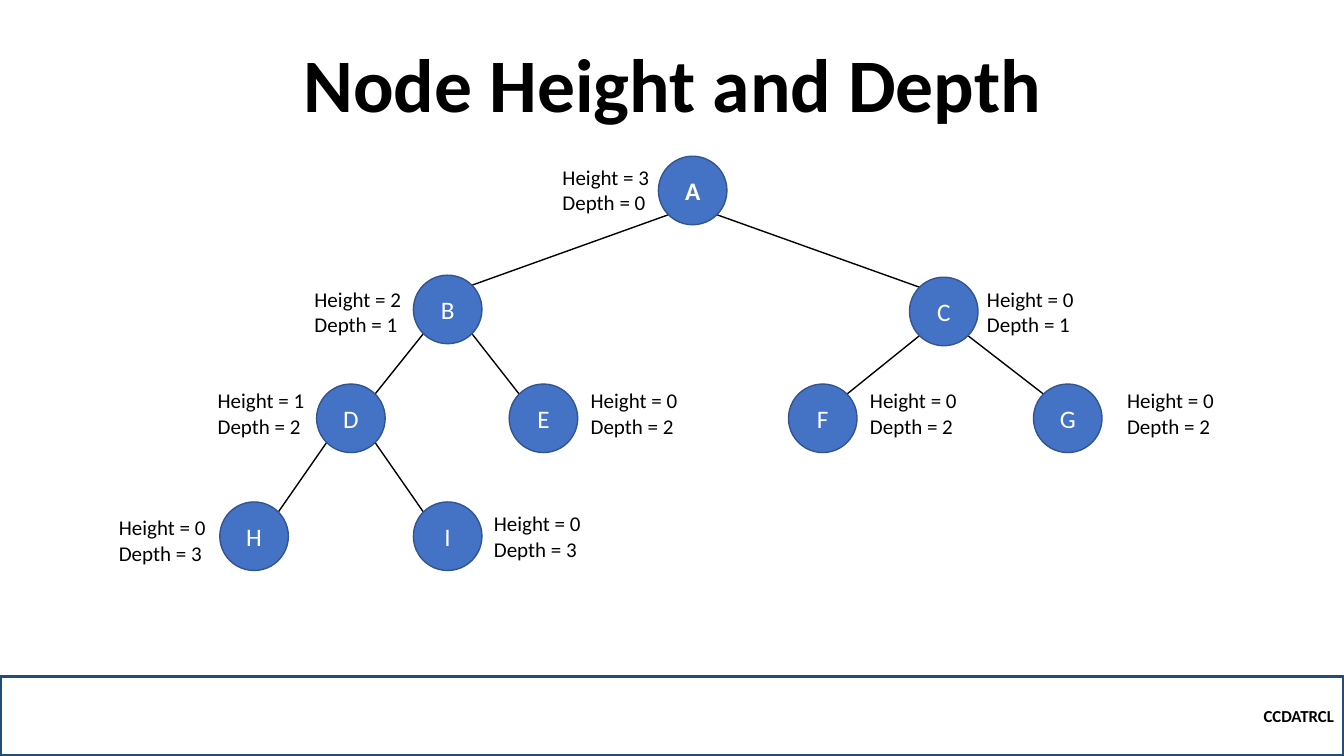
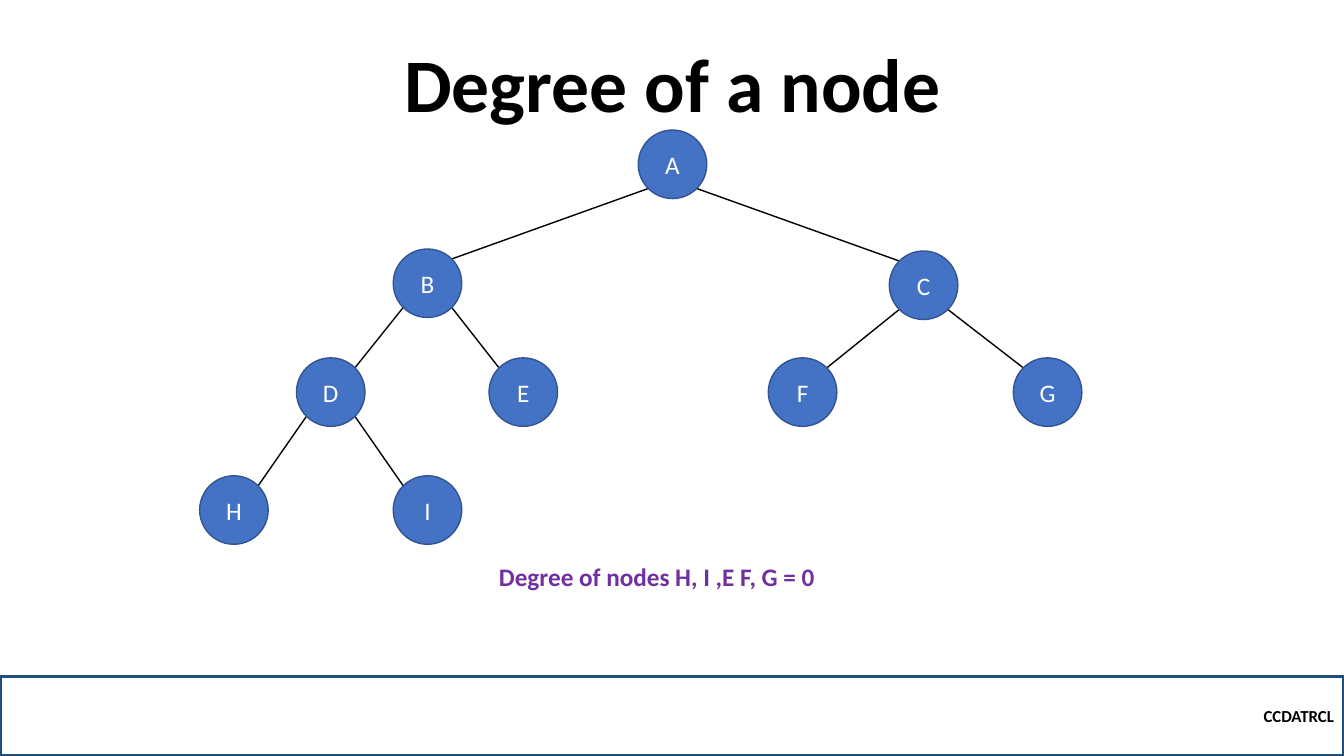
from math import sqrt

from lxml.etree import SubElement
from pptx import Presentation
from pptx.dml.color import RGBColor
from pptx.enum.shapes import MSO_CONNECTOR as CONNECTOR, MSO_SHAPE as SHAPE
from pptx.enum.text import MSO_ANCHOR as ANCHOR, PP_ALIGN as ALIGN
from pptx.oxml.ns import qn
from pptx.util import Inches, Pt

COLORS = {
    "ink": "000000",
    "white": "FFFFFF",
    "node": "4472C4",
    "node_edge": "325491",
    "footer_edge": "1F4E79",
    "note": "7030A0",
}
FONT = "Calibri"
SLIDE_WIDTH, SLIDE_HEIGHT = 13.33, 7.5
TITLE_BOX = (1.67, 0.54, 10, 0.79)
FOOTER_HEIGHT = 0.79
NODE_SIZE = 0.68
NODE_INSET = NODE_SIZE * (1 - 1 / sqrt(2)) / 2
LABEL_SIZE = (1.15, 0.61)

NODES = {
    "A": (4.35, 0),
    "B": (1.92, 1.18),
    "C": (6.84, 1.2),
    "D": (0.96, 2.26),
    "E": (2.87, 2.26),
    "F": (5.64, 2.26),
    "G": (8.07, 2.26),
    "H": (0, 3.43),
    "I": (1.92, 3.43),
}
CHILDREN = {"A": "BC", "B": "DE", "C": "FG", "D": "HI"}

LABELS = {
    "A": (3, 0, -1.05, 0.03),
    "B": (2, 1, -1.08, 0.06),
    "C": (0, 1, 0.67, 0.04),
    "D": (1, 2, -1.08, -0.01),
    "E": (0, 2, 0.71, -0.01),
    "F": (0, 2, 0.71, -0.01),
    "G": (0, 2, 0.83, -0.01),
    "H": (0, 3, -1.1, 0.08),
    "I": (0, 3, 0.7, 0.04),
}


def color(name):
    return RGBColor.from_string(COLORS[name])


def write(shape, text, size=18, ink="ink", bold=False, align=ALIGN.LEFT,
          anchor=ANCHOR.TOP, spacing=None, margin=None):
    frame = shape.text_frame
    frame.word_wrap = True
    frame.vertical_anchor = anchor
    if margin is not None:
        frame.margin_left = frame.margin_right = Inches(margin)
        frame.margin_top = frame.margin_bottom = Inches(margin)
    for index, line in enumerate(text.split("\n")):
        para = frame.add_paragraph() if index else frame.paragraphs[0]
        para.alignment = align
        para.line_spacing = spacing
        span = para.add_run()
        span.text = line
        span.font.name = FONT
        span.font.size = Pt(size)
        span.font.bold = bold
        span.font.color.rgb = color(ink)


def add_text(page, box, text, **style):
    shape = page.shapes.add_textbox(*map(Inches, box))
    write(shape, text, **style)


def add_outline(page, kind, box, fill, edge, weight):
    shape = page.shapes.add_shape(kind, *map(Inches, box))
    shape.shadow.inherit = False
    if fill:
        shape.fill.solid()
        shape.fill.fore_color.rgb = color(fill)
    else:
        shape.fill.background()
    shape.line.color.rgb = color(edge)
    shape.line.width = Pt(weight)
    return shape


def add_edge(page, start, end):
    points = map(Inches, (*start, *end))
    edge = page.shapes.add_connector(CONNECTOR.STRAIGHT, *points)
    edge.line.color.rgb = color("ink")
    edge.line.width = Pt(1)
    SubElement(edge._element.spPr, qn("a:effectLst"))


def add_footer(page, box):
    bar = add_outline(page, SHAPE.RECTANGLE, box, None, "footer_edge", 2.25)
    write(bar, "CCDATRCL", size=12, bold=True, align=ALIGN.RIGHT,
          anchor=ANCHOR.MIDDLE)


def add_page(deck, title):
    page = deck.slides.add_slide(deck.slide_layouts[6])
    add_text(page, TITLE_BOX, title, size=54, bold=True, align=ALIGN.CENTER,
             anchor=ANCHOR.BOTTOM, spacing=0.9)
    add_footer(page, (0, SLIDE_HEIGHT - FOOTER_HEIGHT, SLIDE_WIDTH, FOOTER_HEIGHT))
    return page


def add_tree(page, left, top, bold_nodes=""):
    places = {name: (left + x, top + y) for name, (x, y) in NODES.items()}
    near, far = NODE_INSET, NODE_SIZE - NODE_INSET
    for parent, children in CHILDREN.items():
        parent_x, parent_y = places[parent]
        for child, exit_x, entry_x in zip(children, (near, far), (far, near)):
            child_x, child_y = places[child]
            add_edge(page, (parent_x + exit_x, parent_y + far),
                     (child_x + entry_x, child_y + near))
    for name, place in places.items():
        box = (*place, NODE_SIZE, NODE_SIZE)
        node = add_outline(page, SHAPE.OVAL, box, "node", "node_edge", 1)
        write(node, name, ink="white", bold=name in bold_nodes,
              align=ALIGN.CENTER, anchor=ANCHOR.MIDDLE, margin=0)
    return places


def add_labels(page, places):
    for name, (height, depth, shift_x, shift_y) in LABELS.items():
        x, y = places[name]
        add_text(page, (x + shift_x, y + shift_y, *LABEL_SIZE),
                 f"Height = {height}\nDepth = {depth}", size=15)


def add_height_page(deck):
    page = add_page(deck, "Node Height and Depth")
    places = add_tree(page, 2.18, 1.55, bold_nodes="A")
    add_labels(page, places)


def add_degree_page(deck):
    page = add_page(deck, "Degree of a node")
    add_tree(page, 1.98, 1.29)
    add_text(page, (4.85, 5.52, 3.39, 0.4), "Degree of nodes H, I ,E F, G = 0",
             ink="note", bold=True)


deck = Presentation()
deck.slide_width = Inches(SLIDE_WIDTH)
deck.slide_height = Inches(SLIDE_HEIGHT)
add_height_page(deck)
add_degree_page(deck)
deck.save("out.pptx")
